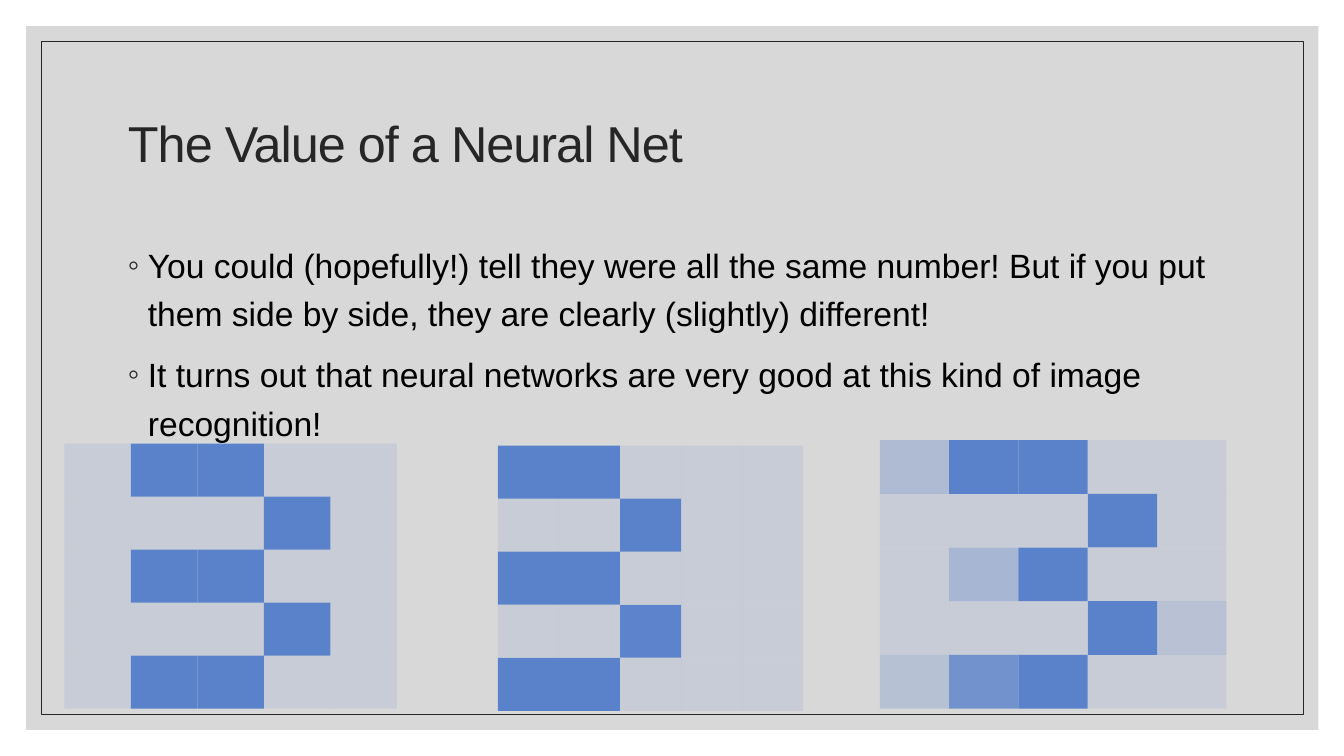
import pptx
import pptx.dml.color
import pptx.enum.shapes
import pptx.enum.text
import pptx.oxml.ns
import pptx.util
from lxml import etree

Pt = pptx.util.Pt

TITLE = "The Value of a Neural Net"
BULLETS = [
    "You could (hopefully!) tell they were all the same number! "
    "But if you put them side by side, they are clearly (slightly) different!",
    "It turns out that neural networks are very good at this kind of image recognition!",
]
COLORS = {"panel": "BFBFBF", "dark": "262626", "body": "000000", "pixel": "5A82CB"}

# Opacity of every pixel in percent, row by row
DIGITS = [
    {"left": 46, "top": 316.9, "cell": (47.52, 37.87), "rows": [
        (13, 100, 100, 13, 13),
        (13, 13, 13, 100, 13),
        (13, 100, 100, 13, 13),
        (13, 13, 13, 100, 13),
        (13, 100, 100, 13, 13),
    ]},
    {"left": 355.7, "top": 318.4, "cell": (43.6, 37.87), "rows": [
        (100, 100, 13, 13, 13),
        (13, 13, 100, 13, 13),
        (100, 100, 13, 13, 13),
        (13, 13, 98, 13, 13),
        (100, 100, 13, 13, 13),
    ]},
    {"left": 628.5, "top": 314.4, "cell": (49.5, 38.35), "rows": [
        (33, 100, 100, 13, 13),
        (13, 13, 13, 100, 13),
        (13, 39, 100, 13, 13),
        (13, 13, 13, 100, 25),
        (26, 81, 100, 13, 13),
    ]},
]


def rgb(name):
    return pptx.dml.color.RGBColor.from_string(COLORS[name])


def add_child(parent, tag, **attributes):
    child = etree.SubElement(parent, pptx.oxml.ns.qn(tag))
    for key, value in attributes.items():
        child.set(key, str(value))
    return child


def set_values(target, values):
    for key, value in values.items():
        setattr(target, key, value)


def add_rectangle(shapes, left, top, width, height, fill=None, opacity=100):
    shape = shapes.add_shape(pptx.enum.shapes.MSO_SHAPE.RECTANGLE,
                             Pt(left), Pt(top), Pt(width), Pt(height))
    shape.shadow.inherit = False
    shape.line.fill.background()
    if fill is None:
        shape.fill.background()
        return shape
    shape.fill.solid()
    shape.fill.fore_color.rgb = rgb(fill)
    if opacity < 100:
        color = shape.element.spPr.find(".//" + pptx.oxml.ns.qn("a:srgbClr"))
        add_child(color, "a:alpha", val=opacity * 1000)
    return shape


def add_frame(slide):
    add_rectangle(slide.shapes, 18.7, 18.7, 923, 502.6, "panel", 60)
    border = add_rectangle(slide.shapes, 29.5, 29.5, 901.4, 481)
    border.line.color.rgb = rgb("dark")
    border.line.width = Pt(0.5)


def add_title(slide):
    title = slide.shapes.title
    title.element.getparent().append(title.element)  # in front of the frame
    set_values(title, {"left": Pt(84.2), "top": Pt(50.4), "width": Pt(792), "height": Pt(108)})
    title.text_frame.text = TITLE
    title.text_frame.vertical_anchor = pptx.enum.text.MSO_ANCHOR.MIDDLE
    paragraph = title.text_frame.paragraphs[0]
    set_values(paragraph, {"alignment": pptx.enum.text.PP_ALIGN.LEFT, "line_spacing": 0.9})
    font = paragraph.runs[0].font
    set_values(font, {"name": "Arial", "size": Pt(36)})
    font.color.rgb = rgb("dark")
    paragraph.runs[0]._r.get_or_add_rPr().set("spc", "-70")


def add_bullets(slide):
    box = slide.shapes.add_textbox(Pt(84.2), Pt(165.6), Pt(792), Pt(303))
    frame = box.text_frame
    frame.word_wrap = True
    for index, text in enumerate(BULLETS):
        paragraph = frame.add_paragraph() if index else frame.paragraphs[0]
        set_values(paragraph, {"line_spacing": 1.2, "space_before": Pt(9 if index else 0)})
        properties = paragraph._p.get_or_add_pPr()
        properties.set("marL", str(Pt(14.4)))
        properties.set("indent", str(-Pt(14.4)))
        bullet_color = add_child(properties, "a:buClr")
        add_child(bullet_color, "a:srgbClr", val=COLORS["dark"])
        add_child(properties, "a:buFont", typeface="Arial")
        add_child(properties, "a:buChar", char="◦")
        run = paragraph.add_run()
        run.text = text
        set_values(run.font, {"name": "Arial", "size": Pt(24)})
        run.font.color.rgb = rgb("body")


def add_digit(slide, digit):
    group = slide.shapes.add_group_shape()
    width, height = digit["cell"]
    for row, opacities in enumerate(digit["rows"]):
        for column, opacity in enumerate(opacities):
            add_rectangle(group.shapes, digit["left"] + column * width,
                          digit["top"] + row * height, width, height, "pixel", opacity)


def main():
    presentation = pptx.Presentation()
    set_values(presentation, {"slide_width": Pt(960), "slide_height": Pt(540)})
    slide = presentation.slides.add_slide(presentation.slide_layouts.get_by_name("Title Only"))
    add_frame(slide)
    add_title(slide)
    add_bullets(slide)
    for digit in DIGITS:
        add_digit(slide, digit)
    presentation.save("out.pptx")


if __name__ == "__main__":
    main()
